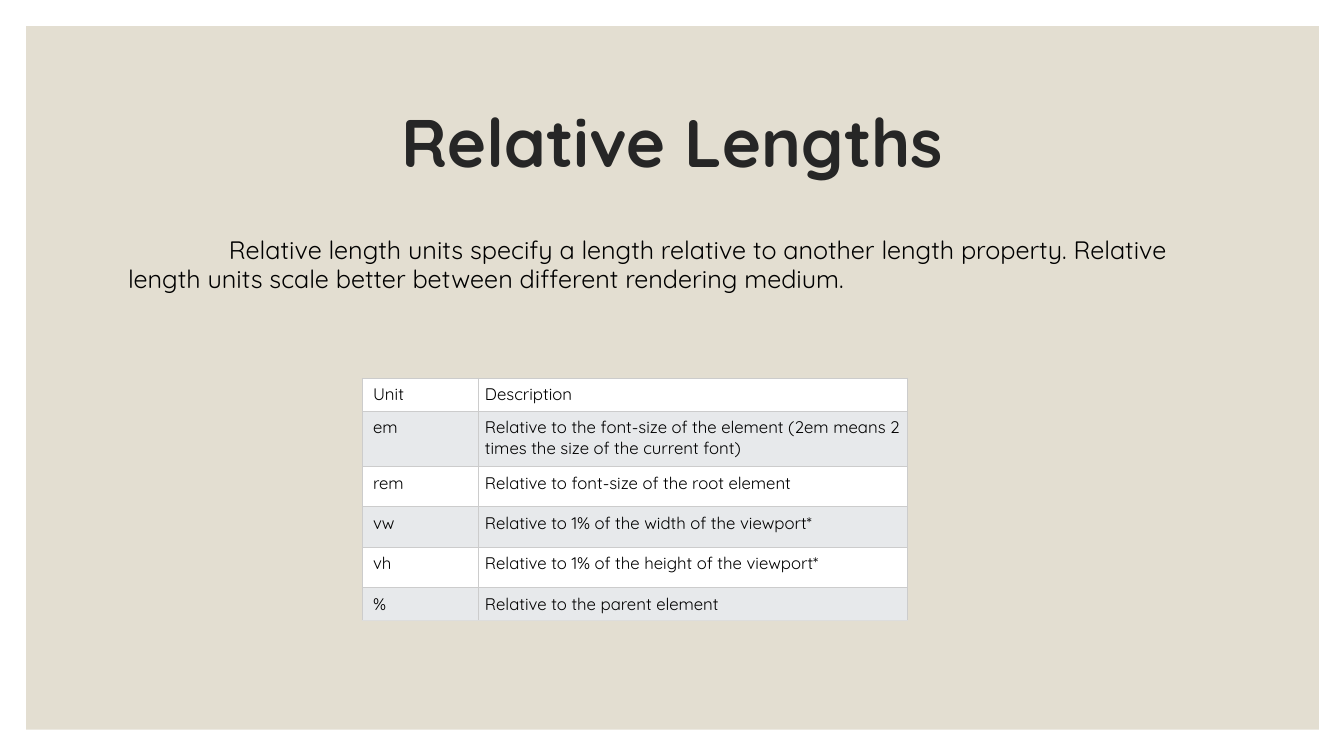
from lxml import etree
from pptx import Presentation
from pptx.dml.color import RGBColor
from pptx.enum.shapes import MSO_SHAPE
from pptx.enum.text import MSO_ANCHOR, MSO_AUTO_SIZE, PP_ALIGN
from pptx.oxml.ns import qn
from pptx.util import Inches, Pt

FONT = "Quicksand"
TITLE = "Relative Lengths"
INTRO = ("Relative length units specify a length relative to another length property. "
         "Relative length units scale better between different rendering medium.")
UNITS = [
    ("Unit", "Description"),
    ("em", "Relative to the font-size of the element (2em means 2 times the size of the current font)"),
    ("rem", "Relative to font-size of the root element"),
    ("vw", "Relative to 1% of the width of the viewport*"),
    ("vh", "Relative to 1% of the height of the viewport*"),
    ("%", "Relative to the parent element"),
]
COLUMN_WIDTHS = (1.16, 4.25)
ROW_HEIGHTS = (0.24, 0.55, 0.4, 0.4, 0.4, 0.24)
LEFT_MARGINS = (0.11, 0.06)
BAND_FILLS = ("FFFFFF", "E7E9EB")


def color(value):
    return RGBColor.from_string(value)


def style(font, size, value, bold=False):
    font.name = FONT
    font.size = Pt(size)
    font.bold = bold
    font.color.rgb = color(value)


def place(shape, left, top, width, height):
    shape.left, shape.top = Inches(left), Inches(top)
    shape.width, shape.height = Inches(width), Inches(height)


def fill_placeholder(shape, text, anchor):
    frame = shape.text_frame
    frame.text = text
    frame.word_wrap = True
    frame.auto_size = MSO_AUTO_SIZE.NONE
    frame.vertical_anchor = anchor
    return frame.paragraphs[0]


def add_borders(cell, bottom):
    properties = cell._tc.get_or_add_tcPr()
    for side in ("lnL", "lnR", "lnT", "lnB"):
        line = etree.SubElement(properties, qn(f"a:{side}"), w=str(Pt(0.75)))
        solid = etree.SubElement(line, qn("a:solidFill"))
        value = bottom if side == "lnB" else "CCCCCC"
        etree.SubElement(solid, qn("a:srgbClr"), val=value)


def add_units_table(slide):
    frame = slide.shapes.add_table(
        len(UNITS), len(COLUMN_WIDTHS), Inches(3.59), Inches(3.75),
        Inches(sum(COLUMN_WIDTHS)), Inches(sum(ROW_HEIGHTS)))
    table = frame.table
    table.first_row = table.horz_banding = False
    for column, width in zip(table.columns, COLUMN_WIDTHS):
        column.width = Inches(width)
    for row_index, texts in enumerate(UNITS):
        table.rows[row_index].height = Inches(ROW_HEIGHTS[row_index])
        bottom = "DDDDDD" if row_index == len(UNITS) - 1 else "CCCCCC"
        for column_index, text in enumerate(texts):
            cell = table.cell(row_index, column_index)
            cell.text = text
            cell.margin_left = Inches(LEFT_MARGINS[column_index])
            cell.margin_right = cell.margin_top = cell.margin_bottom = Inches(0.06)
            style(cell.text_frame.paragraphs[0].font, 12, "000000")
            add_borders(cell, bottom)
            cell.fill.solid()
            cell.fill.fore_color.rgb = color(BAND_FILLS[row_index % 2])


def main():
    deck = Presentation()
    deck.slide_width, deck.slide_height = Inches(13.33), Inches(7.5)
    slide = deck.slides.add_slide(deck.slide_layouts[1])
    title, body = slide.shapes.title, slide.placeholders[1]

    panel = slide.shapes.add_shape(
        MSO_SHAPE.RECTANGLE, Inches(0.26), Inches(0.26), Inches(12.82), Inches(6.98))
    panel.shadow.inherit = False
    panel.fill.solid()
    panel.fill.fore_color.rgb = color("E3DED1")
    panel.line.fill.background()
    title.element.addprevious(panel.element)

    place(title, 1.17, 0.7, 11, 1.5)
    heading = fill_placeholder(title, TITLE, MSO_ANCHOR.MIDDLE)
    heading.alignment = PP_ALIGN.CENTER
    heading.line_spacing = 0.9
    style(heading.font, 48, "262626", bold=True)

    place(body, 1.17, 2.3, 11, 4.3)
    intro = fill_placeholder(body, INTRO, MSO_ANCHOR.TOP)
    intro.space_before = Pt(9)
    intro.line_spacing = 0.95
    style(intro.font, 18, "000000")
    properties = intro._p.get_or_add_pPr()
    properties.set("marL", "0")
    properties.set("indent", str(Inches(1)))
    properties.insert_element_before(
        etree.Element(qn("a:buNone")), "a:tabLst", "a:defRPr", "a:extLst")

    add_units_table(slide)
    deck.save("out.pptx")


if __name__ == "__main__":
    main()
